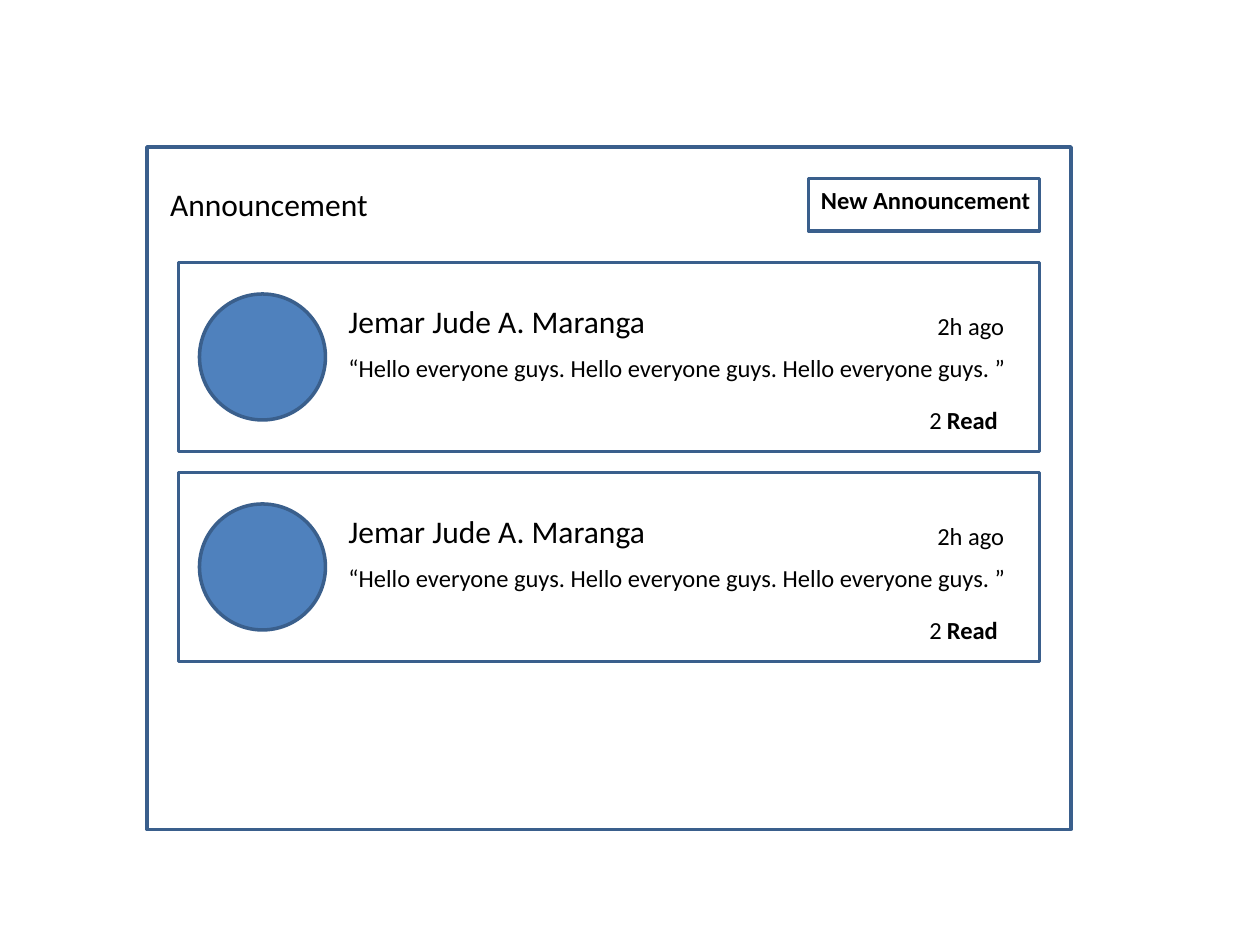
from pptx import Presentation
from pptx.dml.color import RGBColor
from pptx.enum.shapes import MSO_SHAPE
from pptx.enum.text import MSO_ANCHOR, MSO_AUTO_SIZE, PP_ALIGN
from pptx.util import Pt

BLUE = RGBColor(0x4F, 0x81, 0xBD)
OUTLINE = RGBColor(0x3A, 0x5F, 0x8C)
BLACK = RGBColor(0, 0, 0)

deck = Presentation()
deck.slide_width, deck.slide_height = Pt(720), Pt(540)
page = deck.slides.add_slide(deck.slide_layouts[5])


def add_outline(kind, left, top, width, height, fill=None):
    shape = page.shapes.add_shape(kind, Pt(left), Pt(top), Pt(width), Pt(height))
    shape.shadow.inherit = False
    if fill is None:
        shape.fill.background()
    else:
        shape.fill.solid()
        shape.fill.fore_color.rgb = fill
    shape.line.color.rgb = OUTLINE
    shape.line.width = Pt(2)


def put_text(text, left, top, width, size=14, bold=False, box=None):
    height = 29 if size == 18 else 24.25
    if box is None:
        box = page.shapes.add_textbox(0, 0, 0, 0)
    box.left, box.top, box.width, box.height = Pt(left), Pt(top), Pt(width), Pt(height)
    frame = box.text_frame
    frame.text = text
    frame.word_wrap = False
    frame.auto_size = MSO_AUTO_SIZE.SHAPE_TO_FIT_TEXT
    frame.vertical_anchor = MSO_ANCHOR.TOP
    para = frame.paragraphs[0]
    para.alignment = PP_ALIGN.LEFT
    para.font.name = "Calibri"
    para.font.size = Pt(size)
    para.font.bold = bold
    para.font.color.rgb = BLACK


# Window with its heading and button
add_outline(MSO_SHAPE.RECTANGLE, 84, 84, 528, 390)
put_text("Announcement", 90, 102, 129, size=18, box=page.shapes.title)
add_outline(MSO_SHAPE.RECTANGLE, 462, 102, 132, 30)
put_text("New Announcement", 462, 102, 134.5, bold=True)

# Announcement cards
for card_top in (150, 270):
    add_outline(MSO_SHAPE.RECTANGLE, 102, card_top, 492, 108)
    add_outline(MSO_SHAPE.OVAL, 114, card_top + 18, 72, 72, BLUE)
    put_text("Jemar Jude A. Maranga", 192, card_top + 19, 186, size=18)
    put_text("“Hello everyone guys. Hello everyone guys. Hello everyone guys. ”",
             192, card_top + 48, 394)
    put_text("2h ago", 528.5, card_top + 24, 53.25)
    put_text("2", 524, card_top + 78, 21.5)
    put_text("Read", 534, card_top + 78, 44, bold=True)

deck.save("out.pptx")
